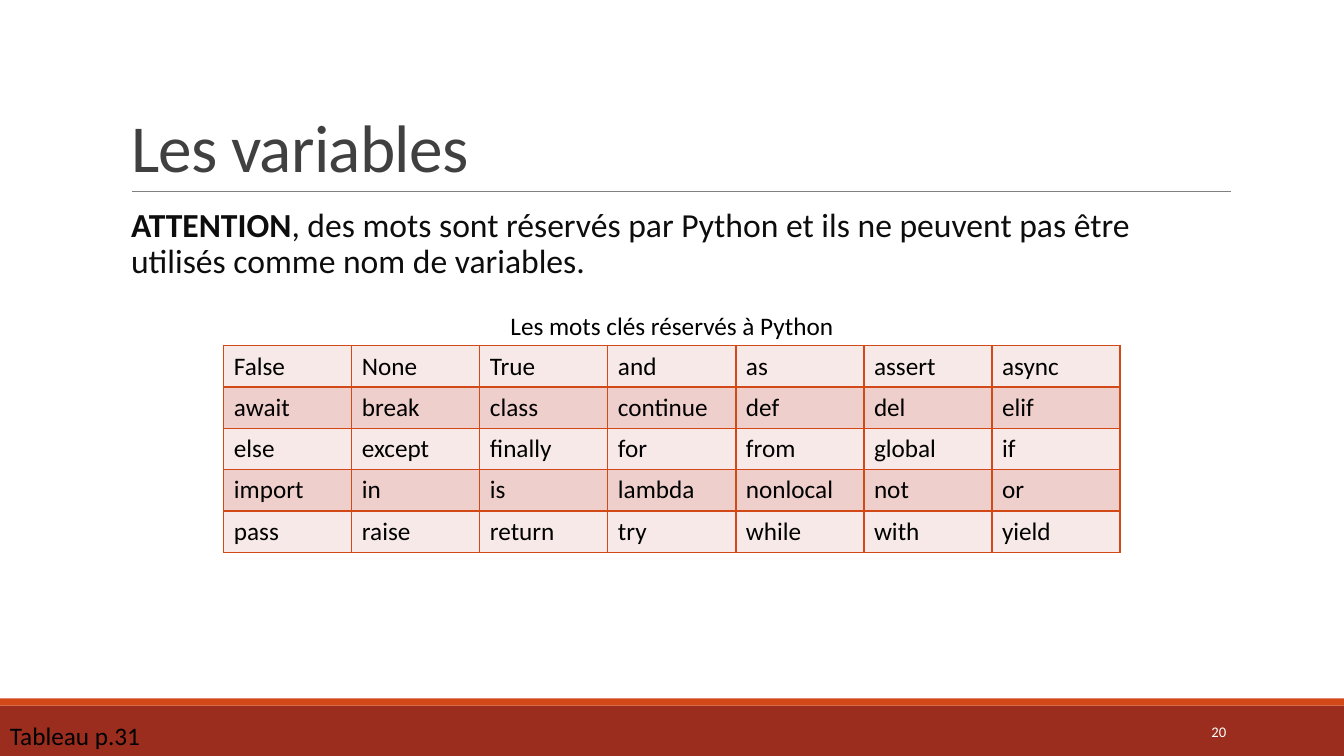
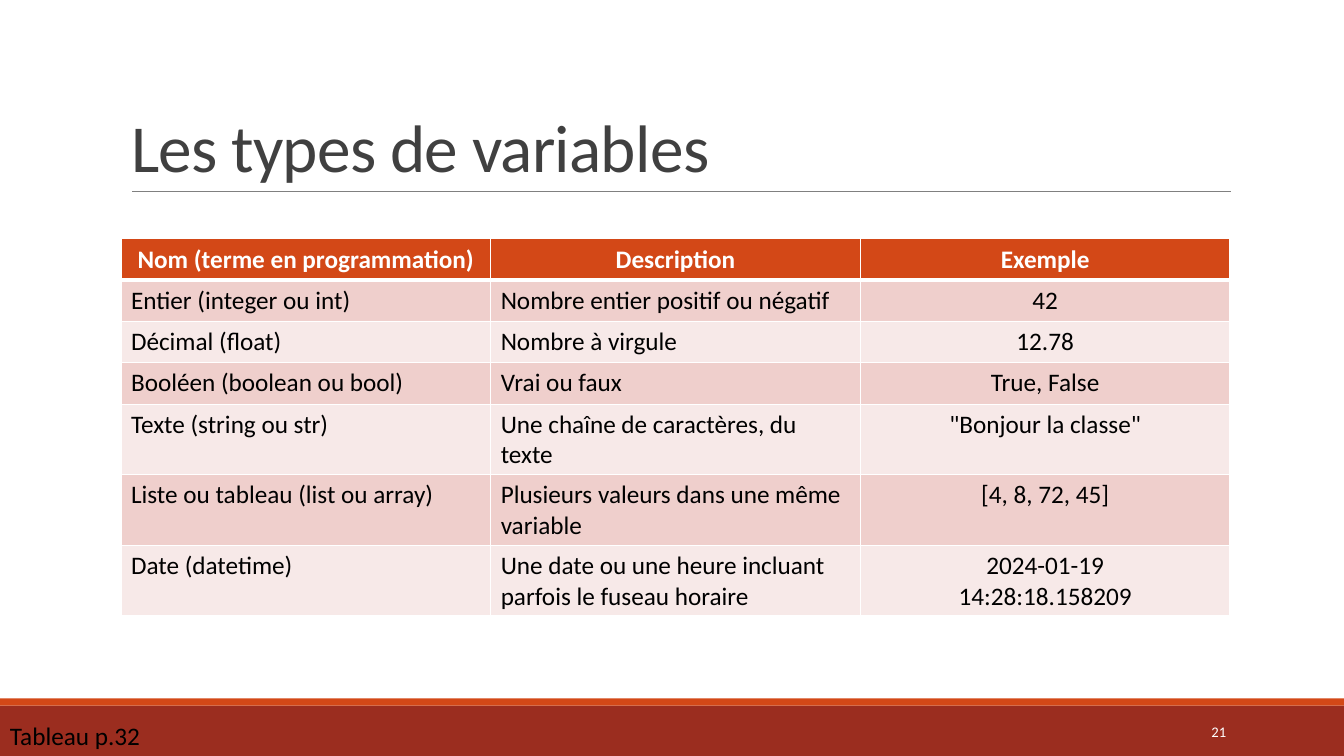
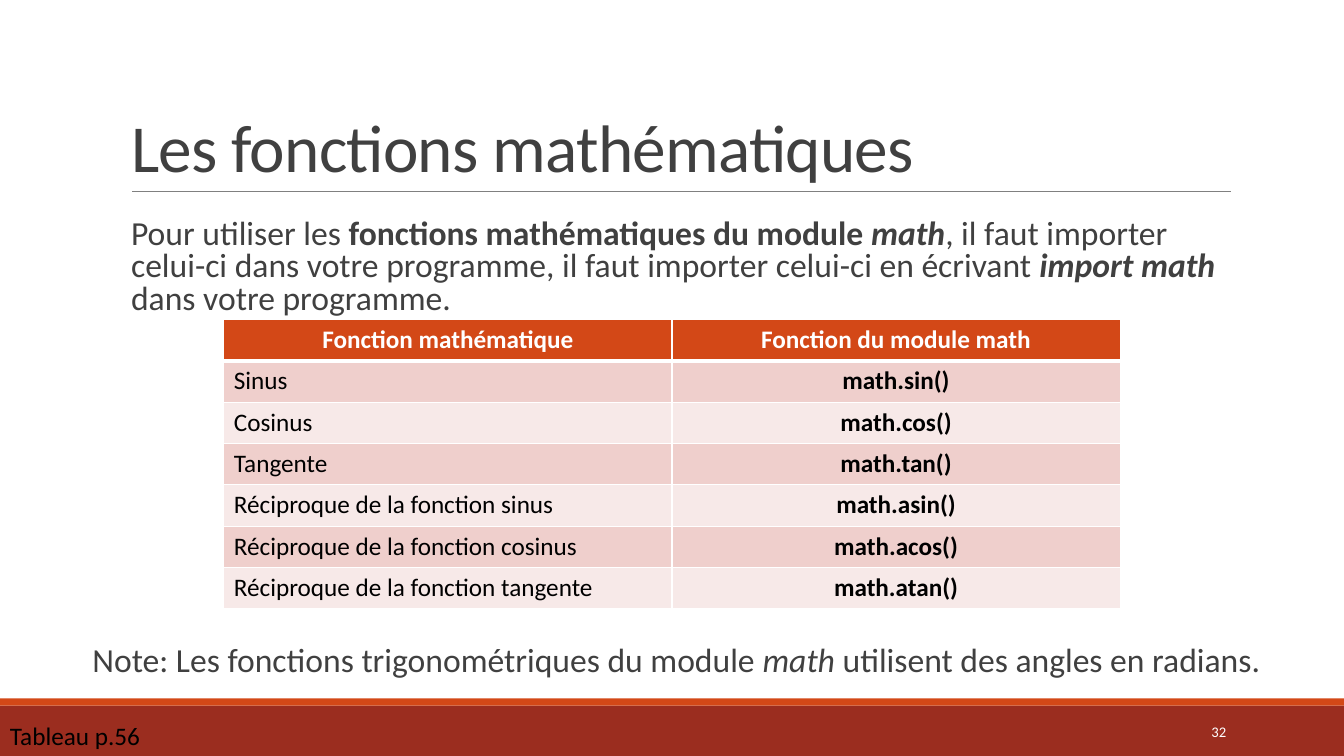
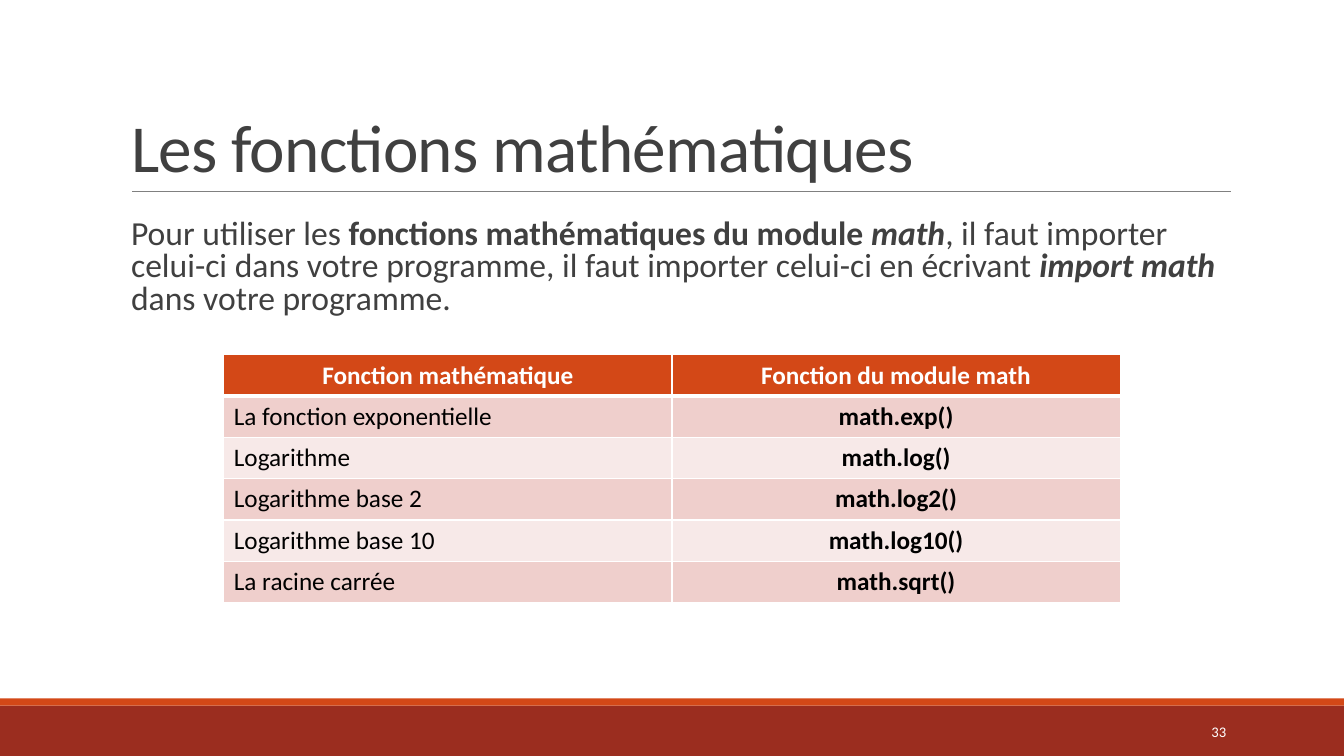
import pptx
import pptx.dml.color
import pptx.enum.shapes
import pptx.enum.text
import pptx.oxml
import pptx.oxml.ns
import pptx.util
from lxml import etree
from pptx.util import Inches

FONT = "Calibri"
COLORS = {
    "white": "FFFFFF", "black": "000000", "title": "404040", "strong": "0D0D0D",
    "accent": "D34817", "band": "9B2D1F", "rule": "808080",
    "row_dark": "EFCFCC", "row_light": "F7E9E8",
}
ALIGN = {
    "l": pptx.enum.text.PP_ALIGN.LEFT,
    "c": pptx.enum.text.PP_ALIGN.CENTER,
    "r": pptx.enum.text.PP_ALIGN.RIGHT,
}
MIDDLE = pptx.enum.text.MSO_ANCHOR.MIDDLE
TITLE_BOX = (1.2, 0.31, 11, 1.59)
LEAD_BOX = (1.2, 2.13, 11, 1.17)
ROW_H = 0.41

KEYWORDS = [
    "False None True and as assert async".split(),
    "await break class continue def del elif".split(),
    "else except finally for from global if".split(),
    "import in is lambda nonlocal not or".split(),
    "pass raise return try while with yield".split(),
]
TYPES = [
    ("Nom (terme en programmation)", "Description", "Exemple"),
    ("Entier (integer ou int)", "Nombre entier positif ou négatif", "42"),
    ("Décimal (float)", "Nombre à virgule", "12.78"),
    ("Booléen (boolean ou bool)", "Vrai ou faux", "True, False"),
    ("Texte (string ou str)", "Une chaîne de caractères, du texte", '"Bonjour la classe"'),
    ("Liste ou tableau (list ou array)", "Plusieurs valeurs dans une même variable",
     "[4, 8, 72, 45]"),
    ("Date (datetime)", "Une date ou une heure incluant parfois le fuseau horaire",
     "2024-01-19\n14:28:18.158209"),
]
MATH_HEADER = ("Fonction mathématique", "Fonction du module math")
TRIGONOMETRY = [
    MATH_HEADER,
    ("Sinus", "math.sin()"),
    ("Cosinus", "math.cos()"),
    ("Tangente", "math.tan()"),
    ("Réciproque de la fonction sinus", "math.asin()"),
    ("Réciproque de la fonction cosinus", "math.acos()"),
    ("Réciproque de la fonction tangente", "math.atan()"),
]
LOGARITHMS = [
    MATH_HEADER,
    ("La fonction exponentielle", "math.exp()"),
    ("Logarithme", "math.log()"),
    ("Logarithme base 2", "math.log2()"),
    ("Logarithme base 10", "math.log10()"),
    ("La racine carrée", "math.sqrt()"),
]
# Runs are (text, style), where style holds b for bold and i for italic
RESERVED_LEAD = [
    ("ATTENTION", "b"),
    (", des mots sont réservés par Python et ils ne peuvent pas être "
     "utilisés comme nom de variables.", ""),
]
MATH_LEAD = [
    ("Pour utiliser les ", ""),
    ("fonctions mathématiques du module ", "b"),
    ("math", "bi"),
    (", il faut importer celui-ci dans votre programme, il faut importer "
     "celui-ci en écrivant ", ""),
    ("import math ", "bi"),
    ("dans votre programme.", ""),
]
RADIANS_NOTE = [
    ("Note: Les fonctions trigonométriques du module ", ""),
    ("math", "i"),
    (" utilisent des angles en radians.", ""),
]


def rgb(name):
    return pptx.dml.color.RGBColor.from_string(COLORS[name])


def inches(box):
    return [Inches(v) for v in box]


def move(sp, box):
    sp.left, sp.top, sp.width, sp.height = inches(box)


def format_run(r, size, color, style=""):
    r.font.name = FONT
    r.font.size = pptx.util.Pt(size)
    r.font.color.rgb = rgb(color)
    r.font.bold = "b" in style
    r.font.italic = "i" in style


def format_text(tf, size, color, align="l", style=""):
    for p in tf.paragraphs:
        p.alignment = ALIGN[align]
        for r in p.runs:
            format_run(r, size, color, style)


def add_label(s, box, text, size, color, align="l", wrap=True, anchor=None):
    tf = s.shapes.add_textbox(*inches(box)).text_frame
    tf.word_wrap = wrap
    tf.vertical_anchor = anchor
    tf.text = text
    format_text(tf, size, color, align)


# Paragraph with a hanging blank bullet and mixed runs
def fill_paragraph(sp, box, runs, color="title", spacing=0.9):
    move(sp, box)
    tf = sp.text_frame
    tf.word_wrap = True
    tf.auto_size = pptx.enum.text.MSO_AUTO_SIZE.NONE
    tf.margin_left = tf.margin_right = 0
    p = tf.paragraphs[0]
    p.alignment = ALIGN["l"]
    p.line_spacing = spacing
    p.space_before, p.space_after = pptx.util.Pt(12), pptx.util.Pt(2)
    for text, style in runs:
        r = p.add_run()
        r.text = text
        format_run(r, 24, color, style)
    pPr = p._p.get_or_add_pPr()
    pPr.set("marL", str(Inches(0.1)))
    pPr.set("indent", str(-Inches(0.1)))
    qn = pptx.oxml.ns.qn
    bullet_color = etree.SubElement(pPr, qn("a:buClr"))
    etree.SubElement(bullet_color, qn("a:srgbClr")).set("val", COLORS["accent"])
    etree.SubElement(pPr, qn("a:buChar")).set("char", " ")


# Title, rule, bands and footer common to all slides
def add_frame(prs, title, number, source=None, body=False):
    s = prs.slides.add_slide(prs.slide_layouts[1 if body else 5])
    for top, height, color in ((7, 0.5, "band"), (6.93, 0.07, "accent")):
        band = s.shapes.add_shape(pptx.enum.shapes.MSO_SHAPE.RECTANGLE,
                                  *inches((0, top, 13.33, height)))
        band.shadow.inherit = False
        band.fill.solid()
        band.fill.fore_color.rgb = rgb(color)
        band.line.fill.background()

    rule = s.shapes.add_connector(pptx.enum.shapes.MSO_CONNECTOR.STRAIGHT,
                                  *inches((1.31, 1.9, 12.21, 1.9)))
    rule.line.color.rgb = rgb("rule")
    rule.line.width = pptx.util.Pt(0.5)
    etree.SubElement(rule._element.spPr, pptx.oxml.ns.qn("a:effectLst"))

    sp = s.shapes.title
    move(sp, TITLE_BOX)
    tf = sp.text_frame
    tf.text = title
    tf.auto_size = pptx.enum.text.MSO_AUTO_SIZE.NONE
    tf.vertical_anchor = pptx.enum.text.MSO_ANCHOR.BOTTOM
    format_text(tf, 48, "title")
    p = tf.paragraphs[0]
    p.line_spacing = 0.85
    p.runs[0].font._element.set("spc", "-50")

    if source:
        add_label(s, (0, 7.1, 1.51, 0.4), source, 18, "black", wrap=False)
    add_label(s, (10.83, 7.06, 1.43, 0.4), str(number), 10.5, "white", "r", anchor=MIDDLE)
    return s


def set_borders(cell, color, top=1, bottom=1):
    tcPr = cell._tc.get_or_add_tcPr()
    for i, (side, width) in enumerate((("L", 1), ("R", 1), ("T", top), ("B", bottom))):
        tcPr.insert(i, pptx.oxml.parse_xml(
            f'<a:ln{side} {pptx.oxml.ns.nsdecls("a")} w="{pptx.util.Pt(width)}">'
            f'<a:solidFill><a:srgbClr val="{COLORS[color]}"/></a:solidFill></a:ln{side}>'))


# Banded table; aligns and styles hold one entry per column
def add_banded_table(s, left, top, width, rows, aligns, styles, header=True,
                     border="white", heights=None):
    heights = heights or [ROW_H] * len(rows)
    table = s.shapes.add_table(len(rows), len(aligns),
                               *inches((left, top, width, sum(heights)))).table
    table.first_row = header
    table.horz_banding = False
    for i, values in enumerate(rows):
        table.rows[i].height = Inches(heights[i])
        is_header = header and i == 0
        fill = "accent" if is_header else ("row_dark" if i % 2 else "row_light")
        for j, value in enumerate(values):
            cell = table.cell(i, j)
            cell.text_frame.text = value
            cell.fill.solid()
            cell.fill.fore_color.rgb = rgb(fill)
            if is_header or not header:
                cell.vertical_anchor = MIDDLE
            if is_header:
                format_text(cell.text_frame, 18, "white", "c", "b")
            else:
                format_text(cell.text_frame, 18, "black", aligns[j], styles[j])
            set_borders(cell, border, top=3 if header and i == 1 else 1,
                        bottom=3 if is_header else 1)


def add_keywords_slide(prs):
    s = add_frame(prs, "Les variables", 20, "Tableau p.31", body=True)
    fill_paragraph(s.placeholders[1], (1.2, 2.02, 11, 4.4), RESERVED_LEAD, "strong")
    add_banded_table(s, 2.22, 3.43, 8.89, KEYWORDS, "l" * 7, [""] * 7,
                     header=False, border="accent")
    add_label(s, (2.55, 3.03, 8.23, 0.4), "Les mots clés réservés à Python",
              18, "black", "c")


def add_types_slide(prs):
    s = add_frame(prs, "Les types de variables", 21, "Tableau p.32")
    add_banded_table(s, 1.2, 2.37, 11, TYPES, "llc", [""] * 3,
                     heights=[ROW_H] * 4 + [0.7] * 3)


def add_math_slide(prs, number, rows, top, source=None, note=None):
    s = add_frame(prs, "Les fonctions mathématiques", number, source, body=True)
    fill_paragraph(s.placeholders[1], LEAD_BOX, MATH_LEAD, spacing=0.8)
    add_banded_table(s, 2.22, top, 8.89, rows, "lc", ["", "b"])
    if note:
        box = (0.75, 6.33, 11.79, 1.17)
        fill_paragraph(s.shapes.add_textbox(*inches(box)), box, note)


def main():
    prs = pptx.Presentation()
    prs.slide_width, prs.slide_height = Inches(13.33), Inches(7.5)
    add_keywords_slide(prs)
    add_types_slide(prs)
    add_math_slide(prs, 32, TRIGONOMETRY, 3.17, "Tableau p.56", RADIANS_NOTE)
    add_math_slide(prs, 33, LOGARITHMS, 3.52)
    prs.save("out.pptx")


if __name__ == "__main__":
    main()
